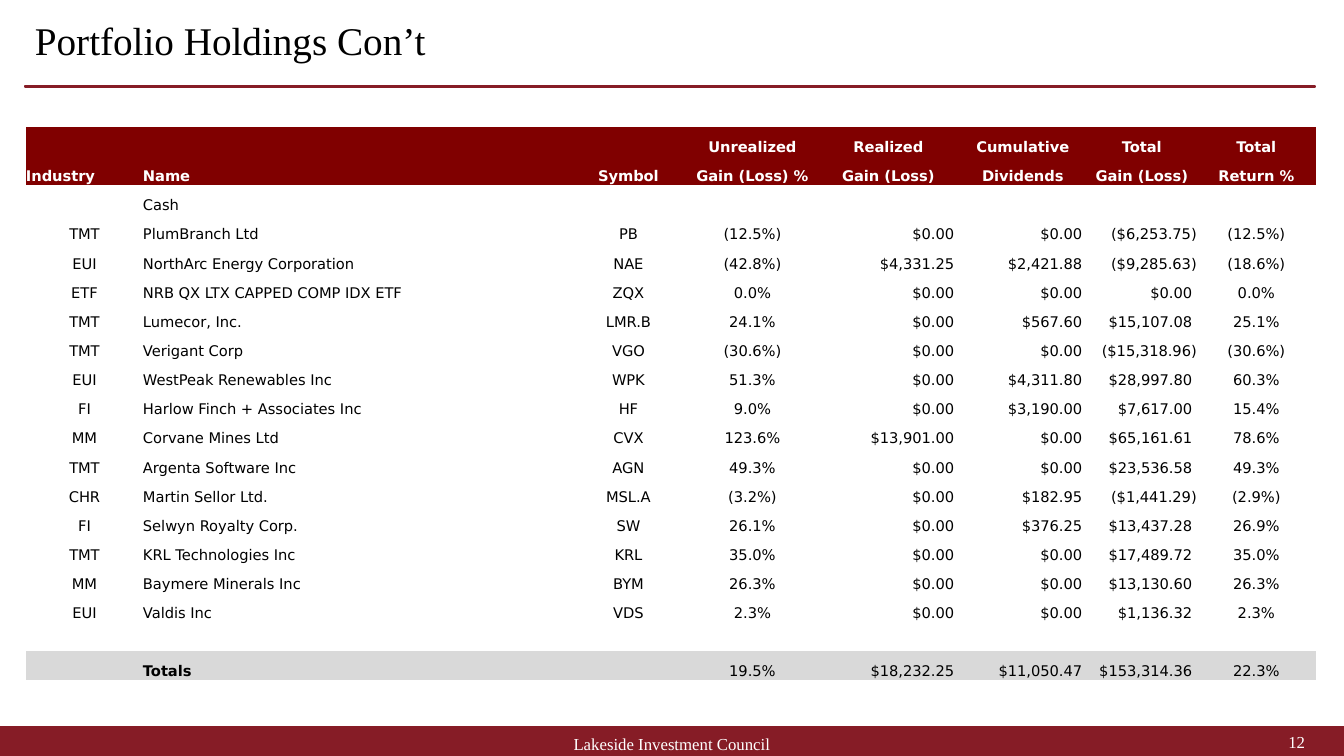
from dataclasses import dataclass

from pptx import Presentation, util as u
from pptx.dml.color import RGBColor
from pptx.enum import shapes, text
from pptx.oxml.ns import qn

LEFT, CENTER, RIGHT = text.PP_ALIGN.LEFT, text.PP_ALIGN.CENTER, text.PP_ALIGN.RIGHT
NO_GRID_STYLE = "{2D5ABB26-0587-4C30-8999-92F81FD0307C}"


@dataclass(frozen=True)
class Theme:
    """Colours, fonts and type sizes of the deck."""
    maroon: str = "861C26"
    header: str = "800000"
    totals: str = "D9D9D9"
    ink: str = "000000"
    paper: str = "FFFFFF"
    serif: str = "Times New Roman"
    sans: str = "DejaVu Sans"
    title_size: float = 28
    footer_size: float = 12
    table_size: float = 10.5


THEME = Theme()
COLUMN_WIDTHS = [117, 427, 117, 131, 141, 128, 110, 119]
HEADER_ALIGN = [LEFT, LEFT] + [CENTER] * 6
BODY_ALIGN = [CENTER, LEFT, CENTER, CENTER, RIGHT, RIGHT, RIGHT, CENTER]
HEADERS = [
    ["", "", "", "Unrealized", "Realized", "Cumulative", "Total", "Total"],
    ["Industry", "Name", "Symbol", "Gain (Loss) %", "Gain (Loss)", "Dividends",
     "Gain (Loss)", "Return %"],
]
HOLDINGS = [
    ["", "Cash", "", "", "", "", "", ""],
    ["TMT", "PlumBranch Ltd", "PB", "(12.5%)", "$0.00", "$0.00", "($6,253.75)", "(12.5%)"],
    ["EUI", "NorthArc Energy Corporation", "NAE", "(42.8%)", "$4,331.25", "$2,421.88",
     "($9,285.63)", "(18.6%)"],
    ["ETF", "NRB QX LTX CAPPED COMP IDX ETF", "ZQX", "0.0%", "$0.00", "$0.00", "$0.00", "0.0%"],
    ["TMT", "Lumecor, Inc.", "LMR.B", "24.1%", "$0.00", "$567.60", "$15,107.08", "25.1%"],
    ["TMT", "Verigant Corp", "VGO", "(30.6%)", "$0.00", "$0.00", "($15,318.96)", "(30.6%)"],
    ["EUI", "WestPeak Renewables Inc", "WPK", "51.3%", "$0.00", "$4,311.80", "$28,997.80",
     "60.3%"],
    ["FI", "Harlow Finch + Associates Inc", "HF", "9.0%", "$0.00", "$3,190.00", "$7,617.00",
     "15.4%"],
    ["MM", "Corvane Mines Ltd", "CVX", "123.6%", "$13,901.00", "$0.00", "$65,161.61", "78.6%"],
    ["TMT", "Argenta Software Inc", "AGN", "49.3%", "$0.00", "$0.00", "$23,536.58", "49.3%"],
    ["CHR", "Martin Sellor Ltd.", "MSL.A", "(3.2%)", "$0.00", "$182.95", "($1,441.29)", "(2.9%)"],
    ["FI", "Selwyn Royalty Corp.", "SW", "26.1%", "$0.00", "$376.25", "$13,437.28", "26.9%"],
    ["TMT", "KRL Technologies Inc", "KRL", "35.0%", "$0.00", "$0.00", "$17,489.72", "35.0%"],
    ["MM", "Baymere Minerals Inc", "BYM", "26.3%", "$0.00", "$0.00", "$13,130.60", "26.3%"],
    ["EUI", "Valdis Inc", "VDS", "2.3%", "$0.00", "$0.00", "$1,136.32", "2.3%"],
    [""] * 8,
]
TOTALS = ["", "Totals", "", "19.5%", "$18,232.25", "$11,050.47", "$153,314.36", "22.3%"]


def px(length):
    """Turn pixels into EMU."""
    return u.Emu(round(length * 914400 / 100.8))


def write(frame, words, size, font, color=THEME.ink, align=LEFT, bold=False, spacing=None):
    """Put one formatted paragraph into a text frame."""
    frame.word_wrap = True
    paragraph = frame.paragraphs[0]
    paragraph.alignment = align
    if spacing:
        paragraph.line_spacing = spacing
    if not words:
        paragraph._p.get_or_add_endParaRPr().set("sz", str(round(size * 100)))
        return
    run = paragraph.add_run()
    run.text = words
    run.font.size, run.font.name, run.font.bold = u.Pt(size), font, bold
    run.font.color.rgb = RGBColor.from_string(color)


def add_label(slide, box, words, **style):
    """Place a vertically centred line of text."""
    frame = slide.shapes.add_textbox(*map(px, box)).text_frame
    frame.vertical_anchor = text.MSO_ANCHOR.MIDDLE
    frame.margin_top = frame.margin_bottom = 0
    write(frame, words, **style)


def add_band(slide, box):
    """Place a maroon rectangle."""
    band = slide.shapes.add_shape(shapes.MSO_SHAPE.RECTANGLE, *map(px, box))
    band.shadow.inherit = False
    band.fill.solid()
    band.fill.fore_color.rgb = band.line.color.rgb = RGBColor.from_string(THEME.maroon)
    band.line.width = u.Pt(1)


def add_heading(slide, box):
    """Place the title with the rule along the bottom of its box."""
    left, top, width, height = box
    add_band(slide, (left, top + height - 1, width, 1))
    add_label(slide, (left, top, width, 48), "Portfolio Holdings Con’t",
              size=THEME.title_size, font=THEME.serif, spacing=0.9)


def add_footer(slide, box):
    """Place the bottom band with the council's name and the page number."""
    left, top, width, height = box
    add_band(slide, box)
    style = dict(size=THEME.footer_size, font=THEME.serif, color=THEME.paper)
    add_label(slide, (left + (width - 454) // 2, top + 7, 454, 20),
              "Lakeside Investment Council", align=CENTER, **style)
    add_label(slide, (left + width - 331, top + 5, 302, 20), "12", align=RIGHT, **style)


def fill_row(row, values, aligns, fill=None, color=THEME.ink, bold_columns=()):
    """Write one table row and set its background."""
    for column, (cell, value, align) in enumerate(zip(row.cells, values, aligns)):
        cell.margin_left = cell.margin_right = cell.margin_top = cell.margin_bottom = 0
        cell.vertical_anchor = text.MSO_ANCHOR.BOTTOM
        if fill:
            cell.fill.solid()
            cell.fill.fore_color.rgb = RGBColor.from_string(fill)
        else:
            cell.fill.background()
        if align == RIGHT and value and not value.endswith(")"):
            value += " "
        write(cell.text_frame, value, size=THEME.table_size, font=THEME.sans,
              color=color, align=align, bold=column in bold_columns)


def add_holdings(slide, box):
    """Place the table of holdings with its header and totals."""
    row_count = len(HEADERS) + len(HOLDINGS) + 1
    holdings = slide.shapes.add_table(row_count, len(COLUMN_WIDTHS), *map(px, box)).table
    holdings.first_row = holdings.horz_banding = False
    holdings._tbl.tblPr.find(qn("a:tableStyleId")).text = NO_GRID_STYLE
    for column, width in zip(holdings.columns, COLUMN_WIDTHS):
        column.width = px(width)
    for row in holdings.rows:
        row.height = px(box[3] / row_count)
    rows = iter(holdings.rows)
    for values in HEADERS:
        fill_row(next(rows), values, HEADER_ALIGN, THEME.header, THEME.paper, range(8))
    for values in HOLDINGS:
        fill_row(next(rows), values, BODY_ALIGN)
    fill_row(next(rows), TOTALS, BODY_ALIGN, THEME.totals, bold_columns=(1,))


def main():
    """Build the slide and save it."""
    deck = Presentation()
    deck.slide_width, deck.slide_height = px(1344), px(756)
    slide = deck.slides.add_slide(deck.slide_layouts[6])
    add_footer(slide, (0, 727, 1344, 33))
    add_heading(slide, (25, 19, 1290, 68))
    add_holdings(slide, (26, 127, 1290, 554))
    deck.save("out.pptx")


if __name__ == "__main__":
    main()
